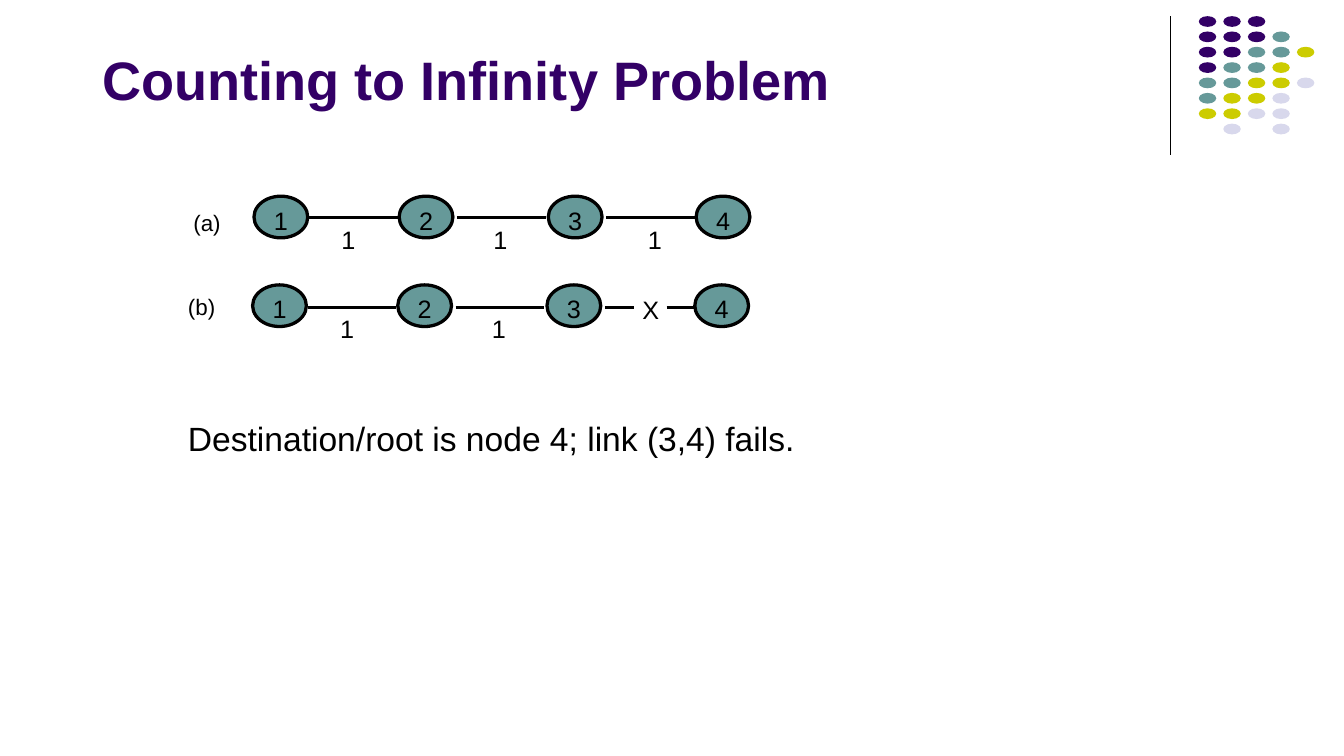
from dataclasses import dataclass

from pptx import Presentation
from pptx.dml.color import RGBColor
from pptx.enum.shapes import MSO_CONNECTOR as Connector, MSO_SHAPE as Preset
from pptx.enum.text import MSO_ANCHOR as Anchor, MSO_AUTO_SIZE as AutoSize, PP_ALIGN as Align
from pptx.oxml.ns import qn
from pptx.slide import Slide
from pptx.text.text import TextFrame
from pptx.util import Inches, Pt
from lxml.etree import SubElement


@dataclass(frozen=True)
class Theme:
    font: str = "Arial"
    ink: str = "000000"
    purple: str = "330066"
    teal: str = "669999"
    lime: str = "CCCC00"
    lavender: str = "D8D8EC"
    title_size: float = 29
    caption_size: float = 18
    node_size: float = 13.5
    tag_size: float = 12
    link_width: float = 1.75
    divider_width: float = 0.75


@dataclass(frozen=True)
class Chain:
    tag: str
    tag_left: float
    tag_top: float
    left: float
    top: float
    link_y: float
    broken: bool = False


THEME = Theme()
SLIDE_WIDTH = 10
SLIDE_HEIGHT = SLIDE_WIDTH * 9 / 16
CHAINS = (
    Chain("(a)", 1.34, 1.51, 1.89, 1.46, 1.62),
    Chain("(b)", 1.3, 2.13, 1.88, 2.12, 2.29, broken=True),
)
NODE_OFFSETS = (0, 1.08, 2.19, 3.29)
NODE_WIDTH, NODE_HEIGHT = 0.4, 0.31
LINK_OFFSETS = (0.41, 1.51, 2.62)
COST_OFFSETS = (0.65, 1.78, 2.93)
LINK_LENGTH, STUB_LENGTH = 0.66, 0.22
BREAK_OFFSET, STUB_OFFSET = 2.9, 3.08

DOT_COLOURS = {"P": THEME.purple, "T": THEME.teal, "Y": THEME.lime, "L": THEME.lavender}
DOT_ROWS = ("PPP", "PPPT", "PPTTY", "PTTY", "TTYYL", "TYYL", "YYLL", " L L")
DOT_LEFT, DOT_TOP = 8.92, 0.12
DOT_STEP_X, DOT_STEP_Y = 0.73 / 4, 0.8 / 7


def write(frame: TextFrame, text: str, size: float, colour: str = THEME.ink,
          bold: bool = False, align: Align = Align.LEFT) -> None:
    paragraph = frame.paragraphs[0]
    paragraph.text = text
    paragraph.alignment = align
    settings = {"name": THEME.font, "size": Pt(size), "bold": bold}
    for name, value in settings.items():
        setattr(paragraph.font, name, value)
    paragraph.font.color.rgb = RGBColor.from_string(colour)


def format_frame(frame: TextFrame, **settings) -> None:
    for name, value in settings.items():
        setattr(frame, name, value)


def no_margins(top: float = 0) -> dict:
    return {"margin_left": 0, "margin_right": 0, "margin_bottom": 0, "margin_top": Inches(top)}


def add_label(slide: Slide, text: str, left: float, top: float, width: float, height: float,
              size: float, **settings) -> None:
    label = slide.shapes.add_textbox(Inches(left), Inches(top), Inches(width), Inches(height))
    format_frame(label.text_frame, **({"word_wrap": True} | settings))
    write(label.text_frame, text, size)


def add_ellipse(slide: Slide, left: float, top: float, width: float, height: float, fill: str):
    ellipse = slide.shapes.add_shape(
        Preset.OVAL, Inches(left), Inches(top), Inches(width), Inches(height))
    ellipse.shadow.inherit = False
    ellipse.fill.solid()
    ellipse.fill.fore_color.rgb = RGBColor.from_string(fill)
    ellipse.line.fill.background()
    return ellipse


def add_line(slide: Slide, start: tuple[float, float], end: tuple[float, float],
             width: float) -> None:
    line = slide.shapes.add_connector(Connector.STRAIGHT, *map(Inches, start + end))
    line.line.color.rgb = RGBColor.from_string(THEME.ink)
    line.line.width = Pt(width)
    SubElement(line._element.spPr, qn("a:effectLst"))


def add_node(slide: Slide, number: int, left: float, top: float) -> None:
    node = add_ellipse(slide, left, top, NODE_WIDTH, NODE_HEIGHT, THEME.teal)
    node.line.color.rgb = RGBColor.from_string(THEME.ink)
    node.line.width = Pt(THEME.link_width)
    format_frame(node.text_frame, word_wrap=False, vertical_anchor=Anchor.TOP, **no_margins(0.02))
    write(node.text_frame, str(number), THEME.node_size, align=Align.CENTER)


def add_link(slide: Slide, left: float, y: float, length: float) -> None:
    add_line(slide, (left, y), (left + length, y), THEME.link_width)


def add_mark(slide: Slide, text: str, left: float, top: float) -> None:
    """Write a link cost or the break sign."""
    add_label(slide, text, left, top, 0.12, 0.23, THEME.node_size,
              word_wrap=False, **no_margins())


def add_chain(slide: Slide, chain: Chain) -> None:
    for number, offset in enumerate(NODE_OFFSETS, start=1):
        add_node(slide, number, chain.left + offset, chain.top)

    whole_links = len(LINK_OFFSETS) - chain.broken
    for link, cost in list(zip(LINK_OFFSETS, COST_OFFSETS))[:whole_links]:
        add_link(slide, chain.left + link, chain.link_y, LINK_LENGTH)
        add_mark(slide, "1", chain.left + cost, chain.top + 0.21)
    if chain.broken:
        for stub in (LINK_OFFSETS[-1], STUB_OFFSET):
            add_link(slide, chain.left + stub, chain.link_y, STUB_LENGTH)
        add_mark(slide, "X", chain.left + BREAK_OFFSET, chain.top + 0.07)

    add_label(slide, chain.tag, chain.tag_left, chain.tag_top, 0.41, 0.51, THEME.tag_size)


def add_dots(slide: Slide) -> None:
    for row, codes in enumerate(DOT_ROWS):
        for column, code in enumerate(codes):
            if code in DOT_COLOURS:
                add_ellipse(slide, DOT_LEFT + column * DOT_STEP_X, DOT_TOP + row * DOT_STEP_Y,
                            0.13, 0.08, DOT_COLOURS[code])


def add_title(slide: Slide, text: str) -> None:
    title = slide.shapes.title
    box = {"left": 0.66, "top": 0.04, "width": 6.12, "height": 0.84}
    for name, value in box.items():
        setattr(title, name, Inches(value))
    format_frame(title.text_frame, vertical_anchor=Anchor.BOTTOM, auto_size=AutoSize.NONE)
    write(title.text_frame, text, THEME.title_size, THEME.purple, bold=True)


def main() -> None:
    deck = Presentation()
    deck.slide_width, deck.slide_height = Inches(SLIDE_WIDTH), Inches(SLIDE_HEIGHT)
    slide = deck.slides.add_slide(deck.slide_layouts.get_by_name("Title Only"))

    add_line(slide, (8.71, 0.12), (8.71, 1.15), THEME.divider_width)
    add_dots(slide)
    for chain in CHAINS:
        add_chain(slide, chain)
    add_title(slide, "Counting to Infinity Problem")
    add_label(slide, "Destination/root is node 4; link (3,4) fails.",
              1.3, 3.06, 4.88, 0.4, THEME.caption_size)

    deck.save("out.pptx")


if __name__ == "__main__":
    main()
